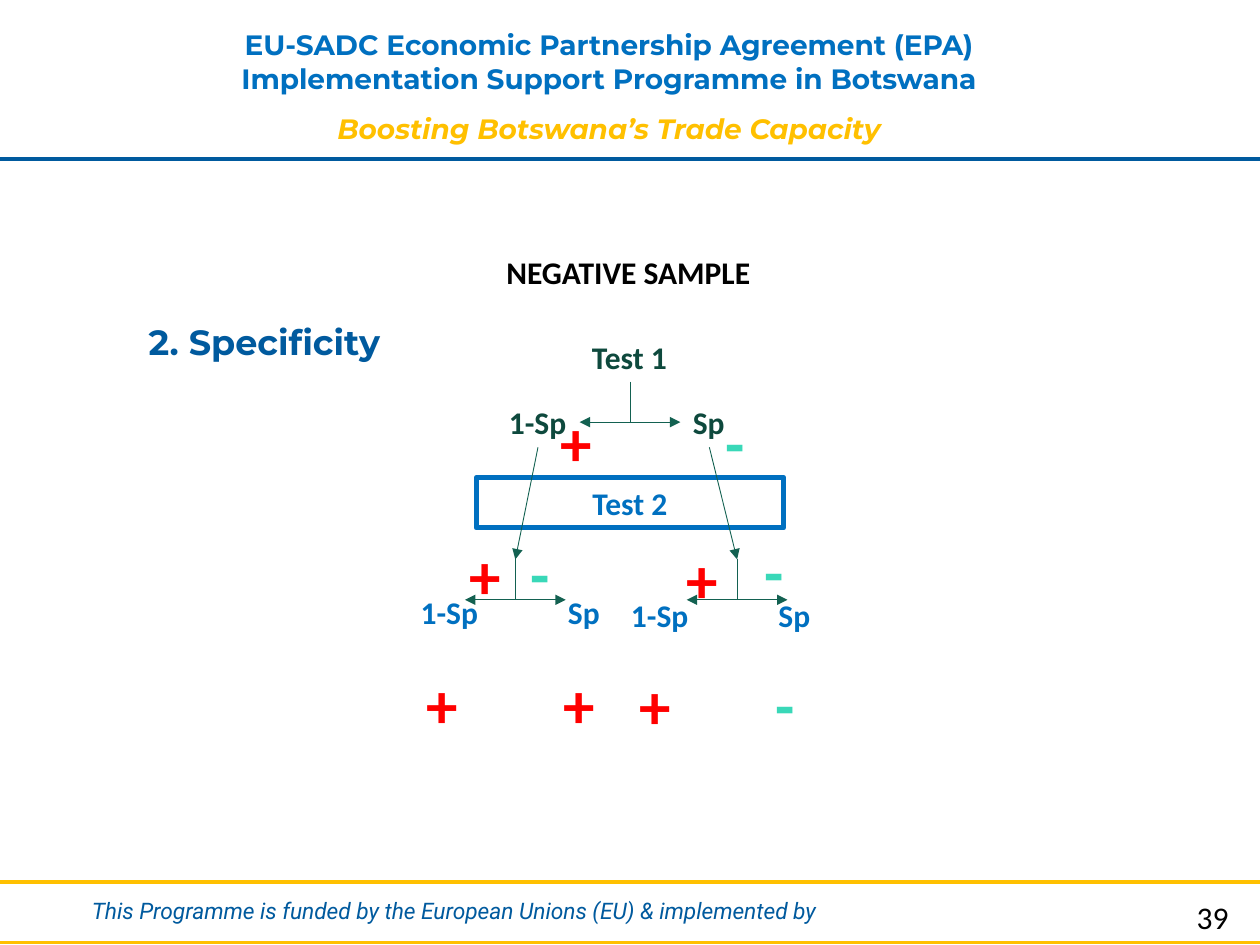
from lxml import etree
from pptx import Presentation
from pptx.dml.color import RGBColor
from pptx.enum.shapes import MSO_CONNECTOR, MSO_SHAPE
from pptx.enum.text import MSO_ANCHOR, PP_ALIGN
from pptx.oxml.ns import qn
from pptx.util import Inches, Pt

STRAIGHT, ELBOW = MSO_CONNECTOR.STRAIGHT, MSO_CONNECTOR.ELBOW
RECT = MSO_SHAPE.RECTANGLE
LEFT, CENTER = PP_ALIGN.LEFT, PP_ALIGN.CENTER
TOP, MIDDLE = MSO_ANCHOR.TOP, MSO_ANCHOR.MIDDLE

BLUE, NAVY, GOLD = "0070C0", "005A9E", "FFC000"
DARK_GREEN, GREEN, TEAL = "0E493D", "136151", "39D8B8"
RED, BLACK, WHITE = "FF0000", "000000", "FFFFFF"
TITLE_ONLY = 5
ARM, DROP = 0.4, 0.32  # reach and height of one branch of a fork


def rgb(value):
    return RGBColor.from_string(value)


def style(p, size, color, font="Calibri", bold=True, italic=False, align=LEFT):
    p.alignment = align
    f = p.font
    f.name, f.size, f.bold, f.italic = font, Pt(size), bold, italic
    f.color.rgb = rgb(color)


def add_text(s, text, x, y, w, h, size, color, wrap=False, anchor=TOP, **look):
    tf = s.shapes.add_textbox(Inches(x), Inches(y), Inches(w), Inches(h)).text_frame
    tf.word_wrap = wrap
    tf.vertical_anchor = anchor
    p = tf.paragraphs[0]
    p.text = text
    style(p, size, color, **look)
    return tf


def add_label(s, text, x, y, color, w=0.46):
    add_text(s, text, x, y, w, 0.4, 18, color)


def add_sign(s, sign, x, y):
    w, color = (0.45, RED) if sign == "+" else (0.36, TEAL)
    add_text(s, sign, x, y, w, 0.71, 36, color)


def add_line(s, x1, y1, x2, y2, color, width, kind=STRAIGHT, arrow=False):
    line = s.shapes.add_connector(kind, Inches(x1), Inches(y1), Inches(x2), Inches(y2))
    line.line.color.rgb = rgb(color)
    line.line.width = Pt(width)
    sp_pr = line._element.spPr
    if arrow:
        etree.SubElement(sp_pr.find(qn("a:ln")), qn("a:tailEnd"), type="triangle")
    etree.SubElement(sp_pr, qn("a:effectLst"))
    return line


def add_fork(s, x, y):
    """Two elbow arrows going down from (x, y), then left and right."""
    for side, degrees in ((-1, 90), (1, 270)):
        left = x + side * ARM / 2 - DROP / 2
        top = y + DROP / 2 - ARM / 2
        line = add_line(s, left, top, left + DROP, top + ARM, GREEN, 0.5, ELBOW, True)
        sp_pr = line._element.spPr
        sp_pr.find(qn("a:prstGeom")).set("prst", "bentConnector2")
        xfrm = sp_pr.find(qn("a:xfrm"))
        xfrm.set("rot", str(degrees * 60000))
        if side > 0:
            xfrm.set("flipH", "1")


def add_frame(s):
    # Header
    tf = add_text(s, "EU-SADC Economic Partnership Agreement (EPA) "
                  "Implementation Support Programme in Botswana",
                  1.06, 0.17, 7.55, 1, 16, BLUE, wrap=True,
                  font="Montserrat", align=CENTER)
    p = tf.add_paragraph()
    p.text = "Boosting Botswana’s Trade Capacity"
    p.line_spacing = 1.5
    style(p, 16, GOLD, font="Montserrat", italic=True, align=CENTER)

    # Rules and footer
    for y, color in ((1.26, NAVY), (7, GOLD), (7.48, GOLD)):
        add_line(s, 0, y, 10, y, color, 2)
    add_text(s, "This Programme is funded by the European Unions (EU) & implemented by",
             0.63, 7.07, 6.49, 0.32, 13, NAVY, wrap=True,
             font="Roboto", bold=False, italic=True)
    add_text(s, "39", 9.31, 7.13, 0.63, 0.29, 18, BLACK, wrap=True,
             anchor=MIDDLE, bold=False, align=CENTER)


def add_title(s, text):
    title = s.shapes.title
    title.left, title.top = Inches(1.08), Inches(2.53)
    title.width, title.height = Inches(5.01), Inches(0.4)
    tf = title.text_frame
    tf.text = text
    tf.vertical_anchor = TOP
    p = tf.paragraphs[0]
    p.line_spacing = 0.9
    style(p, 20, NAVY, font="Montserrat")


def add_test_box(s, text):
    box = s.shapes.add_shape(RECT, Inches(3.78), Inches(3.79), Inches(2.44), Inches(0.4))
    box.shadow.inherit = False
    box.fill.solid()
    box.fill.fore_color.rgb = rgb(WHITE)
    box.line.color.rgb = rgb(BLUE)
    box.line.width = Pt(3)
    p = box.text_frame.paragraphs[0]
    p.text = text
    style(p, 18, BLUE, align=CENTER)


def add_tree(s):
    # First test
    add_label(s, "NEGATIVE SAMPLE", 3.92, 1.96, BLACK, 2.16)
    add_label(s, "Test 1", 4.6, 2.63, DARK_GREEN, 0.8)
    add_label(s, "1-Sp", 3.94, 3.15, DARK_GREEN, 0.66)
    add_label(s, "Sp", 5.4, 3.15, DARK_GREEN)

    # Second test
    add_test_box(s, "Test 2")
    for x, y in ((3.24, 4.66), (4.91, 4.68)):
        add_label(s, "1-Sp", x, y, BLUE, 0.66)
    for x, y in ((4.41, 4.66), (6.08, 4.68)):
        add_label(s, "Sp", x, y, BLUE)

    # Forks and the arrows between them
    for x1, x2 in ((4.27, 4.09), (5.63, 5.85)):
        add_line(s, x1, 3.55, x2, 4.44, GREEN, 0.5, arrow=True)
    for x, y in ((5, 3.03), (4.09, 4.44), (5.85, 4.44)):
        add_fork(s, x, y)

    # Results of test 1, test 2 and both combined
    signs = (("+", 4.35, 3.15), ("-", 5.66, 3.15),
             ("+", 3.63, 4.21), ("-", 4.11, 4.19),
             ("+", 5.35, 4.24), ("-", 5.97, 4.18),
             ("+", 3.29, 5.23), ("+", 4.37, 5.23),
             ("+", 4.98, 5.24), ("-", 6.06, 5.23))
    for sign, x, y in signs:
        add_sign(s, sign, x, y)


def main():
    prs = Presentation()
    prs.slide_width, prs.slide_height = Inches(10), Inches(7.5)
    s = prs.slides.add_slide(prs.slide_layouts[TITLE_ONLY])
    add_frame(s)
    add_title(s, "2. Specificity")
    add_tree(s)
    prs.save("out.pptx")


if __name__ == "__main__":
    main()
